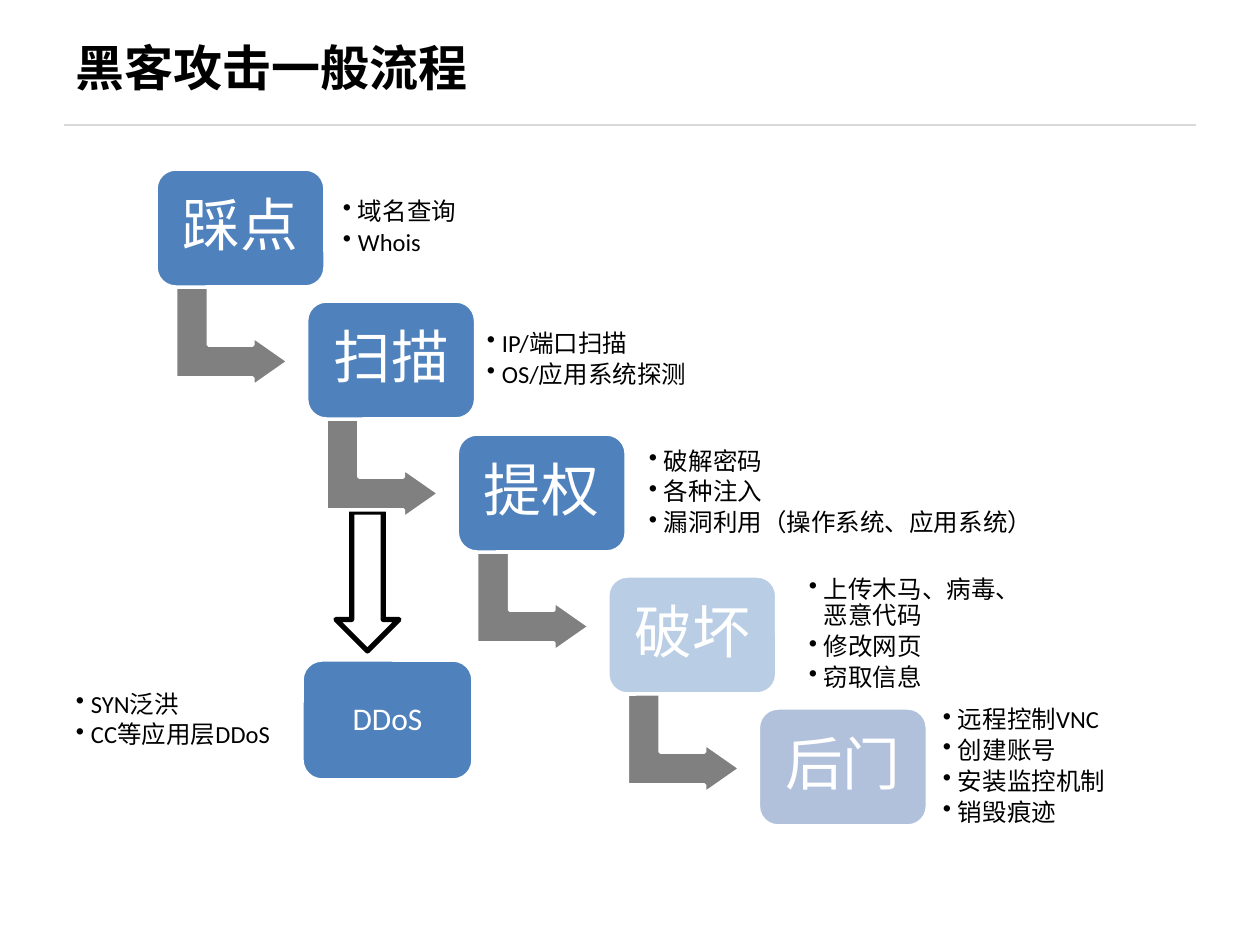
"""Build the attack workflow slide: a descending staircase of steps with bullet notes."""
from lxml import etree
from pptx import Presentation
from pptx.dml.color import RGBColor
from pptx.enum.shapes import MSO_CONNECTOR, MSO_SHAPE
from pptx.enum.text import MSO_ANCHOR, PP_ALIGN
from pptx.oxml.ns import qn
from pptx.util import Emu, Pt

COLORS = {"black": "000000", "white": "FFFFFF", "rule": "D9D9D9", "arrow": "808080",
          "blue": "4F81BD", "pale": "B9CDE5", "lilac": "B2C1DB"}
BODY_FONT, TITLE_FONT = "Calibri", "Noto Sans CJK SC"
TITLE = "黑客攻击一般流程"

STEPS = [
    ("踩点", "blue", 169, (335, 180, 169, 96), ["域名查询", "Whois"]),
    ("扫描", "blue", 301, (479, 312, 442, 96), ["IP/端口扫描", "OS/应用系统探测"]),
    ("提权", "blue", 434, (641, 445, 432, 96),
     ["破解密码", "各种注入", "漏洞利用（操作系统、应用系统）"]),
    ("破坏", "pale", 576, (801, 566, 228, 137),
     ["上传木马、病毒、恶意代码", "修改网页", "窃取信息"]),
    ("后门", "lilac", 708, (935, 719, 208, 96),
     ["远程控制VNC", "创建账号", "安装监控机制", "销毁痕迹"]),
]
FIRST_LEFT, STEP_PITCH = 156, 150.6
BOX_WIDTH, BOX_HEIGHT = 169, 118
ARROW_DX, ARROW_DY, ARROW_WIDTH, ARROW_HEIGHT = 26, 111, 100, 113
BRANCH = ("DDoS", (302, 660, 171, 120))
BRANCH_NOTES = ((68, 672, 273, 97), ["SYN泛洪", "CC等应用层DDoS"])


def px(value):
    return Emu(round(value * 914400 / 126))


def rgb(name):
    return RGBColor.from_string(COLORS[name])


def add_run(paragraph, text, size, color, font=BODY_FONT, bold=False):
    run = paragraph.add_run()
    run.text = text
    run.font.size, run.font.name, run.font.bold = Pt(size), font, bold
    run.font.color.rgb = rgb(color)
    return run


def set_frame(frame, inset_x, inset_y, anchor):
    frame.word_wrap = True
    frame.vertical_anchor = anchor
    frame.margin_left = frame.margin_right = px(inset_x)
    frame.margin_top = frame.margin_bottom = px(inset_y)


def add_shape(kind, place, fill, line, width, adjustments=()):
    shape = slide.shapes.add_shape(kind, *map(px, place))
    shape.shadow.inherit = False
    shape.fill.solid()
    shape.fill.fore_color.rgb = rgb(fill)
    shape.line.color.rgb = rgb(line)
    shape.line.width = Pt(width)
    for index, value in enumerate(adjustments):
        shape.adjustments[index] = value
    return shape


def add_box(label, place, fill, size):
    box = add_shape(MSO_SHAPE.ROUNDED_RECTANGLE, place, fill, "white", 2, [0.167])
    set_frame(box.text_frame, 18, 18, MSO_ANCHOR.MIDDLE)
    paragraph = box.text_frame.paragraphs[0]
    paragraph.alignment = PP_ALIGN.CENTER
    paragraph.line_spacing = 0.9
    add_run(paragraph, label, size, "white")


def add_notes(place, notes):
    frame = slide.shapes.add_textbox(*map(px, place)).text_frame
    set_frame(frame, 8, 8, MSO_ANCHOR.MIDDLE)
    for index, note in enumerate(notes):
        paragraph = frame.add_paragraph() if index else frame.paragraphs[0]
        paragraph.line_spacing = 0.9
        paragraph.space_after = Pt(2.5)
        add_run(paragraph, note, 14, "black")
        properties = paragraph._p.get_or_add_pPr()
        properties.set("marL", str(px(15)))
        properties.set("indent", str(px(-15)))
        etree.SubElement(properties, qn("a:buChar")).set("char", "•")


def add_title():
    rule = slide.shapes.add_connector(MSO_CONNECTOR.STRAIGHT, px(64), px(125), px(1196), px(125))
    rule.line.color.rgb = rgb("rule")
    rule.line.width = Pt(1.25)
    etree.SubElement(rule._element.spPr, qn("a:effectLst"))
    frame = slide.shapes.add_textbox(px(63), px(38), px(1134), px(97)).text_frame
    set_frame(frame, 13, 6, MSO_ANCHOR.TOP)
    frame.paragraphs[0].line_spacing = 0.9
    run = add_run(frame.paragraphs[0], TITLE, 28, "black", TITLE_FONT, True)
    etree.SubElement(run._r.get_or_add_rPr(), qn("a:ea")).set("typeface", TITLE_FONT)


prs = Presentation()
prs.slide_width, prs.slide_height = px(1260), px(945)
slide = prs.slides.add_slide(prs.slide_layouts[6])

add_title()
add_shape(MSO_SHAPE.DOWN_ARROW, (336, 512, 63, 139), "white", "black", 3)
for number, (label, fill, top, notes_place, notes) in enumerate(STEPS):
    left = FIRST_LEFT + number * STEP_PITCH
    if number < len(STEPS) - 1:
        arrow_place = (left + ARROW_DX, top + ARROW_DY, ARROW_WIDTH, ARROW_HEIGHT)
        arrow = add_shape(MSO_SHAPE.BENT_UP_ARROW, arrow_place, "arrow", "white", 2,
                          [0.328, 0.25, 0.358])
        arrow.rotation = 90
    add_box(label, (left, top, BOX_WIDTH, BOX_HEIGHT), fill, 33)
    add_notes(notes_place, notes)
add_box(*BRANCH, "blue", 18)
add_notes(*BRANCH_NOTES)

prs.save("out.pptx")
